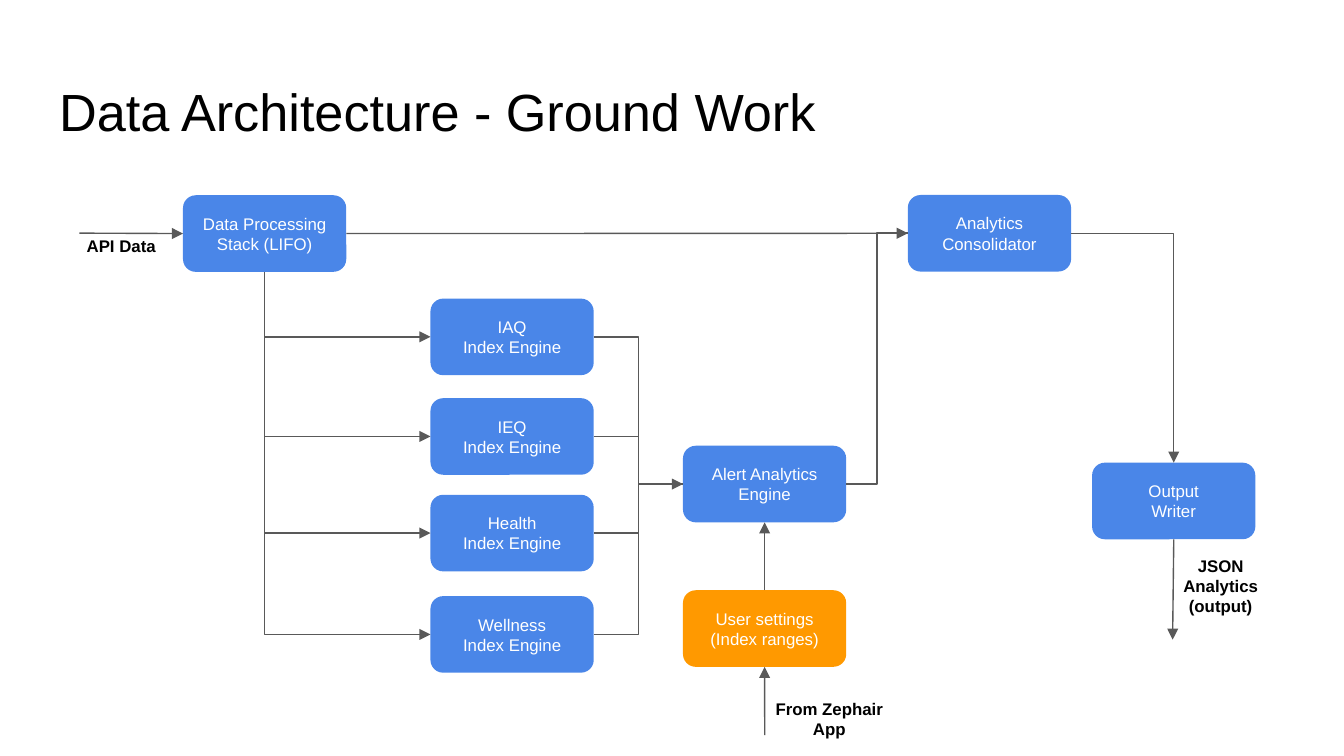
from typing import NamedTuple, Optional

from lxml.etree import SubElement
from pptx import Presentation
from pptx.dml.color import RGBColor
from pptx.enum.shapes import MSO_CONNECTOR, MSO_SHAPE
from pptx.enum.text import MSO_ANCHOR, MSO_AUTO_SIZE, PP_ALIGN
from pptx.oxml.ns import qn
from pptx.util import Inches, Length, Pt

BLUE = RGBColor(0x4A, 0x86, 0xE8)
ORANGE = RGBColor(0xFF, 0x99, 0x00)
GREY = RGBColor(0x59, 0x59, 0x59)
BLACK = RGBColor(0, 0, 0)
WHITE = RGBColor(255, 255, 255)

FONT = "Arial"
COLUMNS, ROWS = 100, 56.25
BOX_WIDTH, BOX_HEIGHT = 12.15, 5.7
LABEL_HEIGHT = 3.6
TOP, LEFT, BOTTOM, RIGHT = range(4)
STRAIGHT, CORNER, STEP = "line", "bentConnector2", "bentConnector3"
HEAD, TAIL = "a:headEnd", "a:tailEnd"


class Node(NamedTuple):
    name: str
    text: str
    column: float
    row: float
    color: RGBColor = BLUE


class Label(NamedTuple):
    text: str
    column: float
    row: float
    width: float


class Link(NamedTuple):
    start: str
    start_side: int
    end: str
    end_side: int
    route: str
    arrow: Optional[str] = TAIL


class Flow(NamedTuple):
    start: tuple
    end: tuple
    node: str
    side: int
    inward: bool


ENGINES = {"IAQ": 22.22, "IEQ": 29.63, "Health": 36.82, "Wellness": 44.36}

NODES = [
    Node("stack", "Data Processing\nStack (LIFO)", 13.62, 14.53),
    Node("consolidator", "Analytics\nConsolidator", 67.55, 14.51),
    Node("writer", "Output\nWriter", 81.26, 34.43),
    Node("alert", "Alert Analytics\nEngine", 50.82, 33.17),
    Node("settings", "User settings\n(Index ranges)", 50.82, 43.92, ORANGE),
] + [Node(name, f"{name}\nIndex Engine", 32.03, row) for name, row in ENGINES.items()]

LABELS = [
    Label("API Data", 4.87, 16.54, 8.3),
    Label("JSON Analytics (output)", 85.72, 40.35, 10.2),
    Label("From Zephair App", 56.4, 51, 10.6),
]

LINKS = [
    Link("stack", RIGHT, "consolidator", LEFT, STRAIGHT),
    Link("alert", RIGHT, "consolidator", LEFT, STEP, None),
    Link("consolidator", RIGHT, "writer", TOP, CORNER),
    Link("settings", TOP, "alert", BOTTOM, STRAIGHT),
]
for engine in ENGINES:
    LINKS.append(Link(engine, LEFT, "stack", BOTTOM, CORNER, HEAD))
    LINKS.append(Link(engine, RIGHT, "alert", LEFT, STEP, TAIL if engine == "IAQ" else None))

FLOWS = [
    Flow((5.9, 17.35), (13.62, 17.38), "stack", LEFT, True),
    Flow((56.9, 54.7), (56.9, 49.62), "settings", BOTTOM, True),
    Flow((87.33, 40.13), (87.25, 47.6), "writer", BOTTOM, False),
]


def grid(cells: float) -> Length:
    return Inches(cells / 10)


def resize_deck(deck) -> None:
    share = grid(ROWS) / deck.slide_height
    deck.slide_width, deck.slide_height = grid(COLUMNS), grid(ROWS)
    for layout in list(deck.slide_layouts):
        if layout.name != "Title Only":
            deck.slide_layouts.remove(layout)
    for sheet in [*deck.slide_layouts, deck.slide_master]:
        for holder in sheet.placeholders:
            left, top, width, height = holder.left, holder.top, holder.width, holder.height
            holder.left, holder.top = left, round(top * share)
            holder.width, holder.height = width, round(height * share)


def write_text(box, text: str, size: float, color: RGBColor, align, bold=False) -> None:
    frame = box.text_frame
    frame.text = text
    frame.word_wrap = True
    frame.auto_size = MSO_AUTO_SIZE.NONE
    frame.margin_left = frame.margin_right = grid(1)
    frame.margin_top = frame.margin_bottom = grid(1)
    for para in frame.paragraphs:
        para.alignment = align
        para.font.name = FONT
        para.font.size = Pt(size)
        para.font.bold = bold
        para.font.color.rgb = color


def draw_title(page, text: str) -> None:
    title = page.shapes.title
    title.left, title.top = grid(3.4), grid(4.9)
    title.width, title.height = grid(93.2), grid(6.3)
    write_text(title, text, 28, BLACK, PP_ALIGN.LEFT)
    title.text_frame.vertical_anchor = MSO_ANCHOR.TOP


def draw_node(page, node: Node):
    box = page.shapes.add_shape(
        MSO_SHAPE.ROUNDED_RECTANGLE,
        grid(node.column), grid(node.row), grid(BOX_WIDTH), grid(BOX_HEIGHT),
    )
    box.shadow.inherit = False
    box.fill.solid()
    box.fill.fore_color.rgb = node.color
    box.line.fill.background()
    write_text(box, node.text, 9, WHITE, PP_ALIGN.CENTER)
    box.text_frame.vertical_anchor = MSO_ANCHOR.MIDDLE
    return box


def draw_label(page, label: Label) -> None:
    box = page.shapes.add_textbox(
        grid(label.column), grid(label.row), grid(label.width), grid(LABEL_HEIGHT)
    )
    write_text(box, label.text, 9, BLACK, PP_ALIGN.CENTER, bold=True)


def style_connector(connector, arrow: Optional[str]) -> None:
    connector.line.color.rgb = GREY
    connector.line.width = Pt(0.75)
    properties = connector.element.spPr
    if arrow:
        SubElement(properties.find(qn("a:ln")), qn(arrow), type="triangle")
    SubElement(properties, qn("a:effectLst"))


def draw_link(page, link: Link, boxes: dict) -> None:
    kind = MSO_CONNECTOR.STRAIGHT if link.route == STRAIGHT else MSO_CONNECTOR.ELBOW
    connector = page.shapes.add_connector(kind, 0, 0, 0, 0)
    connector.begin_connect(boxes[link.start], link.start_side)
    connector.end_connect(boxes[link.end], link.end_side)
    connector.element.spPr.find(qn("a:prstGeom")).set("prst", link.route)
    style_connector(connector, link.arrow)


def draw_flow(page, flow: Flow, boxes: dict) -> None:
    connector = page.shapes.add_connector(
        MSO_CONNECTOR.STRAIGHT, *map(grid, flow.start + flow.end)
    )
    join = connector.end_connect if flow.inward else connector.begin_connect
    join(boxes[flow.node], flow.side)
    style_connector(connector, TAIL)


def main() -> None:
    deck = Presentation()
    resize_deck(deck)
    page = deck.slides.add_slide(deck.slide_layouts.get_by_name("Title Only"))
    draw_title(page, "Data Architecture - Ground Work")
    boxes = {node.name: draw_node(page, node) for node in NODES}
    for link in LINKS:
        draw_link(page, link, boxes)
    for flow in FLOWS:
        draw_flow(page, flow, boxes)
    for label in LABELS:
        draw_label(page, label)
    deck.save("out.pptx")


if __name__ == "__main__":
    main()
